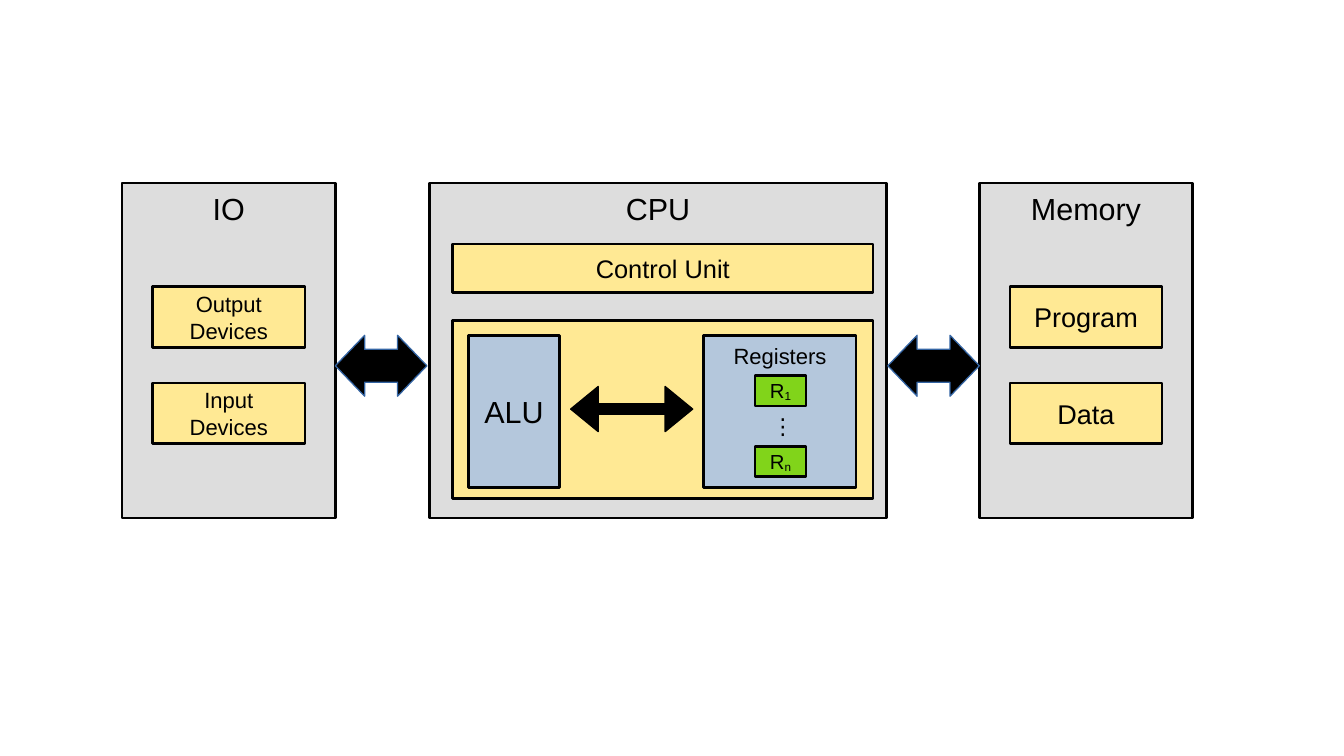
from pptx import Presentation
from pptx.dml.color import RGBColor
from pptx.enum.shapes import MSO_SHAPE as Shape
from pptx.enum.text import MSO_ANCHOR as Anchor, PP_ALIGN as Align
from pptx.util import Pt

PX = 9144  # 100 px to the inch
BLACK, GREY, YELLOW, BLUE, GREEN = "000000", "DDDDDD", "FFE994", "B4C7DC", "81D41A"
ARROW_EDGE = "3465A4"
PANEL_TOP, PANEL_HEIGHT, SIDE_WIDTH = 150, 275, 175


def color(hex_value):
    return RGBColor.from_string(hex_value)


def set_values(target, values):
    for name, value in values.items():
        setattr(target, name, value)


def write(shape, text, size, subscript="", align=Align.CENTER,
          anchor=Anchor.MIDDLE, margins=(11, 6)):
    frame = shape.text_frame
    side, edge = (margin * PX for margin in margins)
    set_values(frame, {"word_wrap": True, "vertical_anchor": anchor,
                       "margin_left": side, "margin_right": side,
                       "margin_top": edge, "margin_bottom": edge})
    paragraph = frame.paragraphs[0]
    paragraph.alignment = align
    for part in filter(None, (text, subscript)):
        run = paragraph.add_run()
        run.text = part
        set_values(run.font, {"name": "Arial", "size": Pt(size)})
        run.font.color.rgb = color(BLACK)
    if subscript:
        run.font._element.set("baseline", "-8000")


def add_figure(slide, kind, box, fill, line=BLACK, weight=1.5):
    shape = slide.shapes.add_shape(kind, *(length * PX for length in box))
    shape.shadow.inherit = False
    shape.fill.solid()
    shape.fill.fore_color.rgb = color(fill)
    shape.line.color.rgb = color(line)
    shape.line.width = Pt(weight)
    return shape


def add_block(slide, box, fill, text="", size=18, **options):
    shape = add_figure(slide, Shape.RECTANGLE, box, fill)
    if text:
        write(shape, text, size, **options)


def add_arrow(slide, box, adjustments, line, weight):
    arrow = add_figure(slide, Shape.LEFT_RIGHT_ARROW, box, BLACK, line, weight)
    for index, value in enumerate(adjustments):
        arrow.adjustments[index] = value


def add_side_panel(slide, box, title, labels, size):
    """Panel with a heading and stacked boxes."""
    left, top, width, _ = box
    add_block(slide, box, GREY, title, anchor=Anchor.TOP)
    for index, label in enumerate(labels):
        add_block(slide, (left + 25, top + 85 + 79 * index, width - 50, 50),
                  YELLOW, label, size)


def add_registers(slide, box):
    left, top, _, _ = box
    add_block(slide, box, BLUE, "Registers", 13, anchor=Anchor.TOP)
    for offset, subscript in ((33, "1"), (91, "n")):
        add_block(slide, (left + 42, top + offset, 42, 25), GREEN, "R", 12,
                  subscript=subscript)
    dots = slide.shapes.add_textbox((left + 46) * PX, (top + 58) * PX,
                                    31 * PX, 30 * PX)
    write(dots, "⋮", 13, align=Align.LEFT, anchor=Anchor.TOP, margins=(10, 5))


def add_cpu(slide, box):
    left, top, _, _ = box
    add_block(slide, box, GREY, "CPU", anchor=Anchor.TOP)
    add_block(slide, (left + 19, top + 50, 345, 40), YELLOW, "Control Unit", 15)
    # Data path
    add_block(slide, (left + 19, top + 113, 345, 146), YELLOW)
    add_block(slide, (left + 32, top + 125, 75, 125), BLUE, "ALU")
    add_arrow(slide, (left + 116, top + 167, 100, 37), (0.23, 0.61), BLACK, 0.79)
    add_registers(slide, (left + 225, top + 125, 125, 125))


def main():
    presentation = Presentation()
    set_values(presentation, {"slide_width": 1102 * PX, "slide_height": 620 * PX})
    slide = presentation.slides.add_slide(presentation.slide_layouts[6])

    # Three main units
    add_side_panel(slide, (803, PANEL_TOP, SIDE_WIDTH, PANEL_HEIGHT),
                   "Memory", ("Program", "Data"), 16)
    add_cpu(slide, (352, PANEL_TOP, 375, PANEL_HEIGHT))
    add_side_panel(slide, (100, PANEL_TOP, SIDE_WIDTH, PANEL_HEIGHT),
                   "IO", ("Output Devices", "Input Devices"), 13)

    # Buses between the units
    for left in (275, 728):
        add_arrow(slide, (left, PANEL_TOP + 125, 75, 50), (0.54, 0.48),
                  ARROW_EDGE, 0)

    presentation.save("out.pptx")


if __name__ == "__main__":
    main()
